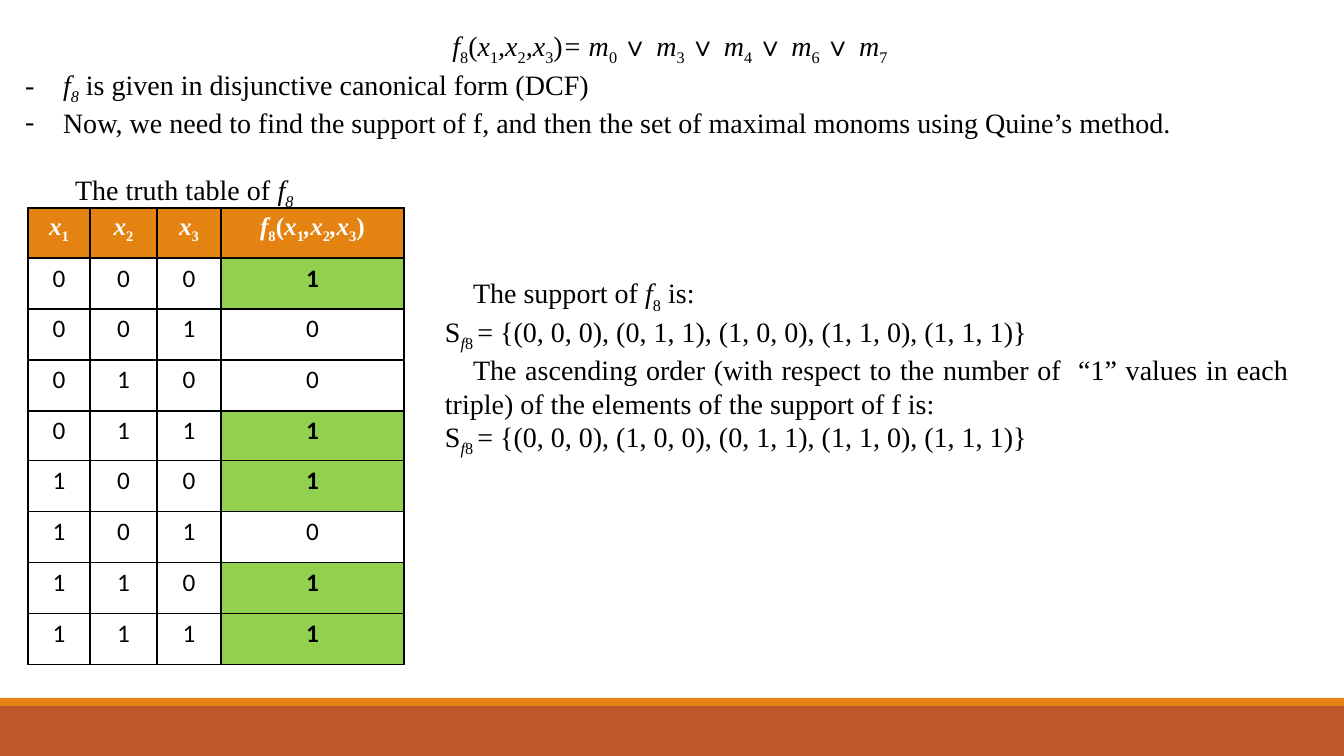
import dataclasses
import typing

import lxml.etree
import pptx
import pptx.dml.color
import pptx.enum.shapes
import pptx.enum.text
import pptx.oxml.ns
import pptx.util

SERIF = "Times New Roman"
SANS = "Calibri"
BLACK, WHITE = "000000", "FFFFFF"
ORANGE, RUST, GREEN = "E48312", "BD582C", "92D050"
ALIGN = pptx.enum.text.PP_ALIGN


@dataclasses.dataclass(frozen=True)
class Box:
    left: int
    top: int
    width: int
    height: int


class Run(typing.NamedTuple):
    text: str
    italic: bool = False
    sub: bool = False


@dataclasses.dataclass(frozen=True)
class Para:
    runs: list[Run]
    align: ALIGN = ALIGN.LEFT
    margin: int = 0
    indent: int = 0
    bullet: str = ""


@dataclasses.dataclass(frozen=True)
class Bar:
    box: Box
    color: str


def px(n: int) -> pptx.util.Emu:
    return pptx.util.Emu(round(n * 12192000 / 1344))


def rgb(value: str) -> pptx.dml.color.RGBColor:
    return pptx.dml.color.RGBColor.from_string(value)


def edges(box: Box) -> list[pptx.util.Emu]:
    return [px(n) for n in (box.left, box.top, box.width, box.height)]


def add_runs(p, runs: list[Run], size: int = 20, font: str = SERIF,
             color: str = BLACK, bold: bool = False) -> None:
    for run in runs:
        r = p.add_run()
        r.text = run.text
        r.font.name = font
        r.font.size = pptx.util.Pt(size)
        r.font.bold = bold
        r.font.italic = run.italic
        r.font.color.rgb = rgb(color)
        if run.sub:
            r.font._element.set("baseline", "-25000")


def child(parent, tag: str, **attrs: str):
    return lxml.etree.SubElement(parent, pptx.oxml.ns.qn(tag), attrs)


def write(s, box: Box, paras: list[Para]) -> None:
    s.left, s.top, s.width, s.height = edges(box)
    tf = s.text_frame
    tf.word_wrap = True
    tf.auto_size = pptx.enum.text.MSO_AUTO_SIZE.NONE
    tf.vertical_anchor = pptx.enum.text.MSO_ANCHOR.TOP
    tf.margin_left = tf.margin_right = px(10)
    tf.margin_top = tf.margin_bottom = px(5)
    for i, para in enumerate(paras):
        p = tf.add_paragraph() if i else tf.paragraphs[0]
        p.alignment = para.align
        p.space_before = p.space_after = pptx.util.Pt(0)
        pPr = p._p.get_or_add_pPr()
        pPr.set("marL", str(px(para.margin)))
        pPr.set("indent", str(px(para.indent)))
        if para.bullet:
            child(pPr, "a:buFont", typeface=SERIF)
            child(pPr, "a:buChar", char=para.bullet)
        else:
            child(pPr, "a:buNone")
        add_runs(p, para.runs)


def add_bar(slide, bar: Bar) -> None:
    sp = slide.shapes.add_shape(
        pptx.enum.shapes.MSO_SHAPE.RECTANGLE, *edges(bar.box))
    sp.shadow.inherit = False
    sp.fill.solid()
    sp.fill.fore_color.rgb = rgb(bar.color)
    sp.line.fill.background()


def fill_cell(cell, runs: list[Run], fill: str, font: str, color: str, bold: bool) -> None:
    tcPr = cell._tc.get_or_add_tcPr()
    for side in ("a:lnL", "a:lnR", "a:lnT", "a:lnB"):
        ln = child(tcPr, side, w=str(pptx.util.Pt(1)))
        child(child(ln, "a:solidFill"), "a:srgbClr", val=BLACK)
    cell.fill.solid()
    cell.fill.fore_color.rgb = rgb(fill)
    p = cell.text_frame.paragraphs[0]
    p.alignment = ALIGN.CENTER
    add_runs(p, runs, 18, font, color, bold)


def add_truth_table(slide, box: Box, widths: list[int],
                    header: list[list[Run]], minterms: set[int]) -> None:
    count = 2 ** (len(header) - 1) + 1
    table = slide.shapes.add_table(count, len(header), *edges(box)).table
    table.horz_banding = False
    for col, width in zip(table.columns, widths):
        col.width = px(width)
    for i, row in enumerate(table.rows):
        row.height = px(box.height * (i + 1) // count - box.height * i // count)
    for col, runs in enumerate(header):
        fill_cell(table.cell(0, col), runs, ORANGE, SERIF, WHITE, True)
    for n in range(count - 1):
        hit = n in minterms
        for col, digit in enumerate(f"{n:03b}{int(hit)}"):
            marked = hit and col == len(header) - 1
            fill_cell(table.cell(n + 1, col), [Run(digit)],
                      GREEN if marked else WHITE, SANS, BLACK, marked)


def var(name: str, index: str) -> list[Run]:
    return [Run(name, italic=True), Run(index, sub=True)]


def support(triples: str) -> Para:
    return Para([Run("S"), Run("f", italic=True, sub=True), Run("8 ", sub=True),
                 Run(f"= {{{triples}}}")], ALIGN.JUSTIFY)


def main() -> None:
    prs = pptx.Presentation()
    prs.slide_width, prs.slide_height = px(1344), px(756)
    slide = prs.slides.add_slide(prs.slide_layouts[1])
    for bar in (Bar(Box(0, 706, 1344, 50), RUST), Bar(Box(0, 698, 1344, 8), ORANGE)):
        add_bar(slide, bar)

    minterms = [0, 3, 4, 6, 7]
    f8 = var("f", "8")
    f8_italic = [Run("f", italic=True), Run("8", italic=True, sub=True)]
    function = [*f8, Run("("), *var("x", "1"), *var(",x", "2"), *var(",x", "3"), Run(")")]
    formula = [*function, Run("= ", italic=True)]
    for i, n in enumerate(minterms):
        if i:
            formula.append(Run("∨ "))
        formula += var("m", f"{n} ")

    write(slide.shapes.title, Box(15, 23, 1314, 44), [Para(formula, ALIGN.CENTER)])
    items = [
        [*f8_italic, Run(" is given in disjunctive canonical form (DCF)")],
        [Run("Now, we need to find the support of f, and then the set of "
             "maximal monoms using Quine’s method.")],
    ]
    write(slide.placeholders[1], Box(15, 62, 1314, 82),
          [Para(runs, margin=38, indent=-38, bullet="-") for runs in items])
    caption = slide.shapes.add_textbox(0, 0, 0, 0)
    write(caption, Box(65, 167, 340, 44), [Para([Run("The truth table of "), *f8_italic])])

    header = [var("x", str(i)) for i in (1, 2, 3)] + [function]
    add_truth_table(slide, Box(28, 208, 376, 457), [62, 67, 64, 183], header, set(minterms))

    write(slide.shapes.add_textbox(0, 0, 0, 0), Box(435, 271, 864, 190), [
        Para([Run("The support of "), *f8, Run(" is:")], ALIGN.JUSTIFY, indent=28),
        support("(0, 0, 0), (0, 1, 1), (1, 0, 0), (1, 1, 0), (1, 1, 1)"),
        Para([Run("The ascending order (with respect to the number of  “1” values in "
                  "each triple) of the elements of the support of f is:")],
             ALIGN.JUSTIFY, indent=28),
        support("(0, 0, 0), (1, 0, 0), (0, 1, 1), (1, 1, 0), (1, 1, 1)"),
    ])
    prs.save("out.pptx")


if __name__ == "__main__":
    main()
